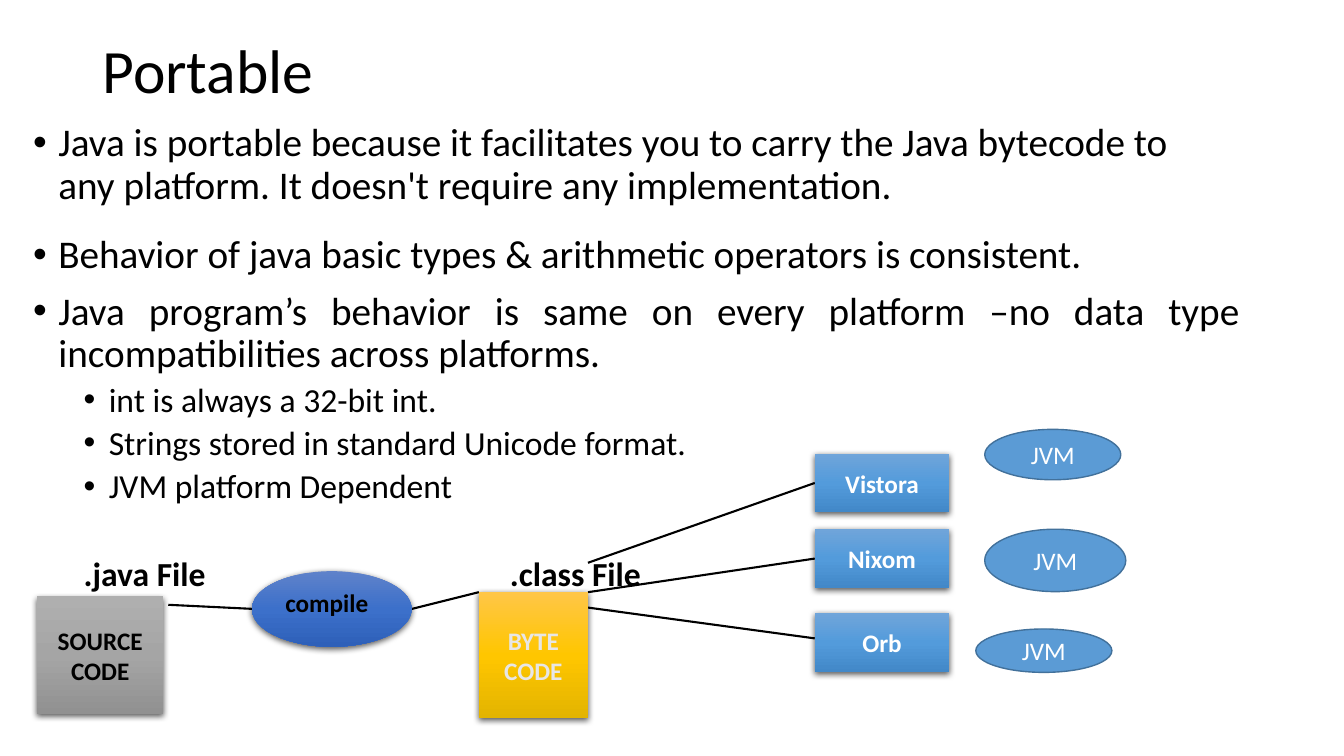
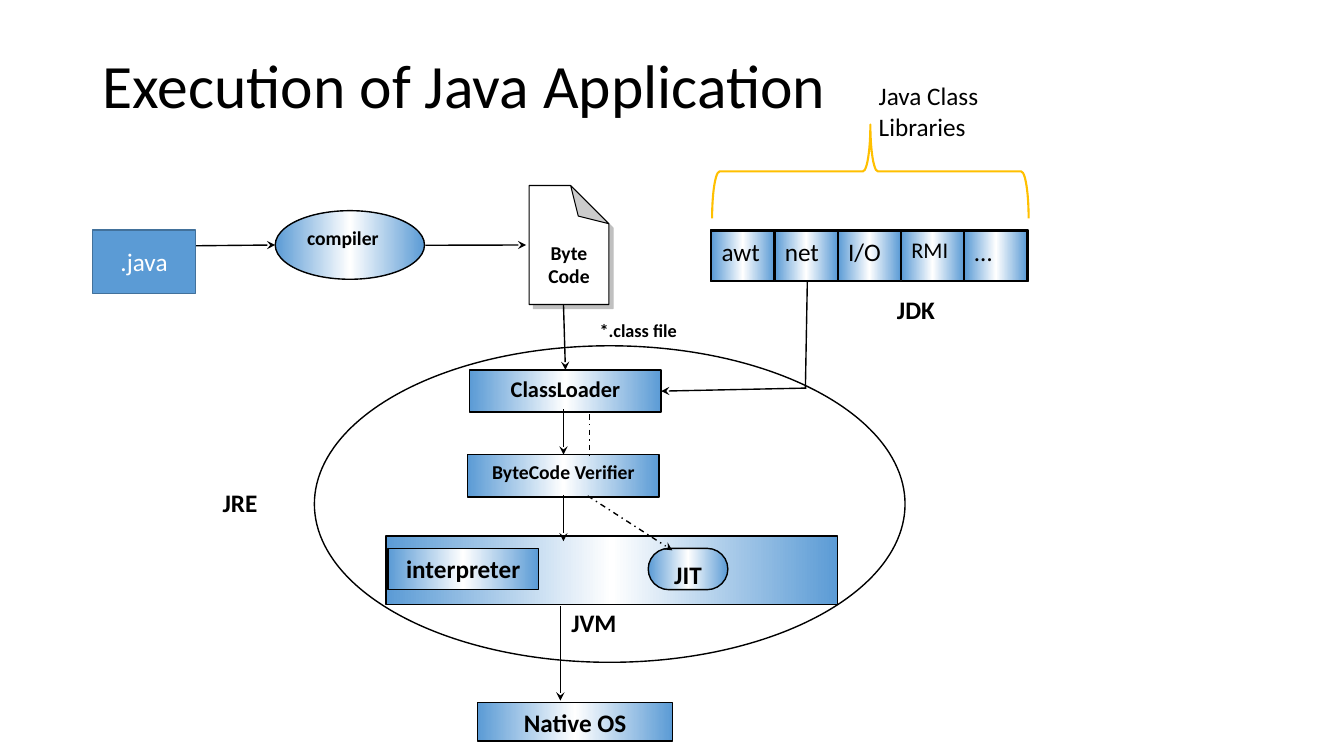
"""Build two slides on Java portability and on how a Java application runs."""
from dataclasses import dataclass
from typing import Optional, Union

import lxml.etree
import pptx
import pptx.dml.color
import pptx.enum.dml
import pptx.enum.shapes
import pptx.enum.text
import pptx.oxml.ns
import pptx.util

Pt = pptx.util.Pt
qn = pptx.oxml.ns.qn
SHAPE = pptx.enum.shapes.MSO_SHAPE
ALIGN = pptx.enum.text.PP_ALIGN
ANCHOR = pptx.enum.text.MSO_ANCHOR
FONT = "Calibri"
COLORS = {
    "ink": "000000", "paper": "FFFFFF", "pale": "E7E6E6", "blue": "5B9BD5",
    "edge": "42719B", "gold": "FFC000", "silver": "C0C0C0",
}
GRADIENTS = {
    "compile": (90, ("5F82CA", "3C70CA", "2E60B9")),
    "system": (90, ("70A5DA", "539BDB", "4288C8")),
    "bytecode": (90, ("FFC647", "FFC600", "E3B400")),
    "source": (90, ("AFAFAF", "A5A5A5", "919191")),
    "sheen": (0, (COLORS["blue"], COLORS["paper"], COLORS["blue"])),
}
Frame = tuple[float, float, float, float]
Point = tuple[float, float]


@dataclass(frozen=True)
class Shadow:
    """An outer shadow."""
    color: str
    opacity: int
    blur: float
    distance: float
    angle: int


SOFT = Shadow("ink", 63, 4.5, 1.5, 90)
HARD = Shadow("silver", 100, 0, 4.2, 45)


@dataclass(frozen=True)
class Node:
    """A preset shape, or a text box when it has no kind."""
    frame: Frame
    text: str = ""
    kind: Optional[SHAPE] = None
    fill: str = ""
    line: str = ""
    width: float = 1
    size: float = 18
    color: str = "ink"
    bold: bool = True
    align: ALIGN = ALIGN.CENTER
    anchor: ANCHOR = ANCHOR.TOP
    shadow: Optional[Shadow] = None
    adjust: tuple[float, ...] = ()
    rotation: float = 0
    mirrored: bool = False


@dataclass(frozen=True)
class Link:
    """A straight line, with or without an arrowhead."""
    start: Point
    end: Point
    width: float = 1
    arrow: bool = True
    dashed: bool = False


@dataclass(frozen=True)
class Bullet:
    """One list paragraph."""
    text: str
    level: int = 0
    before: float = 0
    align: ALIGN = ALIGN.JUSTIFY


def rgb(name: str) -> pptx.dml.color.RGBColor:
    """Return a named colour."""
    return pptx.dml.color.RGBColor.from_string(COLORS[name])


def add_span(para, text: str, size: float, color: str = "ink", bold: bool = False) -> None:
    """Add one formatted run."""
    span = para.add_run()
    span.text = text
    span.font.name = FONT
    span.font.size = Pt(size)
    span.font.bold = bold
    span.font.color.rgb = rgb(color)


def place(box, frame: Frame) -> None:
    """Move and size a box."""
    box.left, box.top, box.width, box.height = (Pt(value) for value in frame)


def prepare(box, anchor: ANCHOR) -> None:
    """Set wrapping, fitting, margins and anchor of a text frame."""
    frame = box.text_frame
    frame.word_wrap = True
    frame.auto_size = pptx.enum.text.MSO_AUTO_SIZE.NONE
    frame.vertical_anchor = anchor
    frame.margin_left = frame.margin_right = Pt(7.2)
    frame.margin_top = frame.margin_bottom = Pt(3.6)


def add_title(page, text: str, frame: Frame) -> None:
    """Fill the title placeholder in the shared style."""
    box = page.shapes.title
    place(box, frame)
    prepare(box, ANCHOR.MIDDLE)
    para = box.text_frame.paragraphs[0]
    para.alignment = ALIGN.LEFT
    para.line_spacing = 0.9
    add_span(para, text, 44)


def add_bullets(box, frame: Frame, bullets: list[Bullet]) -> None:
    """Fill a body placeholder with bulleted paragraphs."""
    place(box, frame)
    prepare(box, ANCHOR.TOP)
    for index, bullet in enumerate(bullets):
        para = box.text_frame.add_paragraph() if index else box.text_frame.paragraphs[0]
        para.level = bullet.level
        para.alignment = bullet.align
        para.line_spacing = 0.9
        para.space_before = Pt(bullet.before)
        add_span(para, bullet.text, 28 - 4 * bullet.level)
        settings = para._p.get_or_add_pPr()
        settings.set("marL", str(Pt(18 + 36 * bullet.level)))
        settings.set("indent", str(-Pt(18)))
        lxml.etree.SubElement(settings, qn("a:buChar"), char="•")


def fill_shape(box, fill: str) -> None:
    """Apply a gradient, a plain colour or no fill."""
    if not fill:
        box.fill.background()
    elif fill in GRADIENTS:
        angle, stops = GRADIENTS[fill]
        box.fill.gradient()
        gradient = box.element.spPr.find(qn("a:gradFill"))
        stop_list = gradient.find(qn("a:gsLst"))
        stop_list.clear()
        for index, color in enumerate(stops):
            stop = lxml.etree.SubElement(stop_list, qn("a:gs"), pos=str(index * 50000))
            lxml.etree.SubElement(stop, qn("a:srgbClr"), val=color)
        gradient.find(qn("a:lin")).set("ang", str(angle * 60000))
    else:
        box.fill.solid()
        box.fill.fore_color.rgb = rgb(fill)


def cast_shadow(box, shadow: Shadow) -> None:
    """Put an outer shadow in the effect list."""
    effects = box.element.spPr.find(qn("a:effectLst"))
    outer = lxml.etree.SubElement(
        effects, qn("a:outerShdw"), blurRad=str(Pt(shadow.blur)), dist=str(Pt(shadow.distance)),
        dir=str(shadow.angle * 60000), algn="ctr", rotWithShape="0")
    color = lxml.etree.SubElement(outer, qn("a:srgbClr"), val=COLORS[shadow.color])
    lxml.etree.SubElement(color, qn("a:alpha"), val=str(shadow.opacity * 1000))


def adjust_shape(box, values: tuple[float, ...]) -> None:
    """Write the adjustment values of a preset shape."""
    guides = box.element.spPr.find(qn("a:prstGeom")).get_or_add_avLst()
    guides.clear()
    for number, value in enumerate(values, 1):
        name = f"adj{number}" if len(values) > 1 else "adj"
        lxml.etree.SubElement(guides, qn("a:gd"), name=name, fmla=f"val {round(value * 100000)}")


def style_shape(box, node: Node) -> None:
    """Set outline, fill, geometry and shadow of a preset shape."""
    fill_shape(box, node.fill)
    if node.line:
        box.line.color.rgb = rgb(node.line)
        box.line.width = Pt(node.width)
    else:
        box.line.fill.background()
    if node.adjust:
        adjust_shape(box, node.adjust)
    box.rotation = node.rotation
    if node.mirrored:
        box.element.spPr.find(qn("a:xfrm")).set("flipH", "1")
    box.shadow.inherit = False
    if node.shadow:
        cast_shadow(box, node.shadow)


def draw_node(page, node: Node) -> None:
    """Draw a shape or text box with its text."""
    frame = [Pt(value) for value in node.frame]
    if node.kind is None:
        box = page.shapes.add_textbox(*frame)
    else:
        box = page.shapes.add_shape(node.kind, *frame)
        style_shape(box, node)
    if not node.text:
        return
    prepare(box, node.anchor)
    for index, text in enumerate(node.text.split("\n")):
        para = box.text_frame.add_paragraph() if index else box.text_frame.paragraphs[0]
        para.alignment = node.align
        add_span(para, text, node.size, node.color, node.bold)


def draw_link(page, link: Link) -> None:
    """Draw a connector without shadow."""
    connector = page.shapes.add_connector(
        pptx.enum.shapes.MSO_CONNECTOR.STRAIGHT, *(Pt(value) for value in link.start + link.end))
    connector.line.color.rgb = rgb("ink")
    connector.line.width = Pt(link.width)
    if link.dashed:
        connector.line.dash_style = pptx.enum.dml.MSO_LINE.DASH_DOT
    outline = connector.element.spPr.find(qn("a:ln"))
    if link.arrow:
        lxml.etree.SubElement(outline, qn("a:tailEnd"), type="stealth")
    lxml.etree.SubElement(connector.element.spPr, qn("a:effectLst"))


def draw(page, items: list[Union[Node, Link]]) -> None:
    """Draw items from back to front."""
    for item in items:
        if isinstance(item, Link):
            draw_link(page, item)
        else:
            draw_node(page, item)


def label(frame: Frame, text: str, size: float = 18, bold: bool = True) -> Node:
    """Describe a left-aligned text box."""
    return Node(frame, text, size=size, bold=bold, align=ALIGN.LEFT)


def raised(frame: Frame, text: str, fill: str, color: str) -> Node:
    """Describe a shadowed gradient rectangle."""
    return Node(frame, text, SHAPE.RECTANGLE, fill, color=color, anchor=ANCHOR.MIDDLE, shadow=SOFT)


def plain(frame: Frame, text: str, kind: SHAPE) -> Node:
    """Describe a flat blue shape with white text."""
    return Node(frame, text, kind, "blue", "edge", color="paper", bold=False, anchor=ANCHOR.MIDDLE)


def shiny(frame: Frame, text: str = "", size: float = 18, kind: SHAPE = SHAPE.RECTANGLE,
          bold: bool = True, align: ALIGN = ALIGN.CENTER, adjust: tuple[float, ...] = ()) -> Node:
    """Describe an outlined shape with a blue and white sheen."""
    return Node(frame, text, kind, "sheen", "ink", size=size, bold=bold, align=align, adjust=adjust)


def build_portable(deck) -> None:
    """Build the slide on portability."""
    page = deck.slides.add_slide(deck.slide_layouts[3])
    add_title(page, "Portable", (66, 0, 828, 104.4))
    add_bullets(page.placeholders[1], (16.5, 84.2, 828, 342.7), [
        Bullet("Java is portable because it facilitates you to carry the Java bytecode to "
               "any platform. It doesn't require any implementation.", align=ALIGN.LEFT)])
    add_bullets(page.placeholders[2], (16.5, 164.2, 876.2, 356.4), [
        Bullet("Behavior of java basic types & arithmetic operators is consistent."),
        Bullet("Java program’s behavior is same on every platform –no data type "
               "incompatibilities across platforms.", before=10),
        *(Bullet(text, 1, 5) for text in (
            "int is always a 32-bit int.", "Strings stored in standard Unicode format.",
            "JVM platform Dependent"))])
    systems = zip(("Vistora", "Nixom", "Orb"), (324, 378, 438))
    machines = ((703.4, 306.7, 97.2, 36), (703.4, 378, 100.8, 44.6), (697, 449.3, 97.2, 31))
    links = (((120.2, 432), (180, 434.9)), ((294, 435), (342, 423)), ((420, 402), (582, 345)),
             ((420, 423), (582, 399)), ((420, 434), (582, 456)))
    draw(page, [
        label((52.6, 391.7, 116, 39), ".java File", 24),
        label((357.1, 391.7, 116, 39), ".class File", 24),
        *(Link(start, end, 1.5, False) for start, end in links),
        Node((180, 408, 114, 54), "compile", SHAPE.OVAL, "compile", align=ALIGN.LEFT, shadow=SOFT),
        *(raised((582, top, 96, 42), name, "system", "paper") for name, top in systems),
        raised((342, 423, 78, 90), "BYTE CODE", "bytecode", "pale"),
        raised((26.6, 426, 90, 84), "SOURCE\nCODE", "source", "ink"),
        *(plain(frame, "JVM", SHAPE.OVAL) for frame in machines)])


def build_execution(deck) -> None:
    """Build the slide on running an application."""
    page = deck.slides.add_slide(deck.slide_layouts[5])
    add_title(page, "Execution of Java Application", (66, 28.8, 828, 68.4))
    libraries = (("awt", 18), ("net", 18), ("I/O", 18), ("RMI", 16), ("…", 18))
    draw(page, [
        shiny((196.6, 150.5, 106.6, 49), "compiler", 14, SHAPE.OVAL, align=ALIGN.LEFT),
        Node((378, 132.5, 56.9, 85), kind=SHAPE.FOLDED_CORNER, fill="paper", line="ink", width=0.75,
             shadow=HARD, adjust=(0.48,), rotation=180, mirrored=True),
        Node((378, 159.8, 56.9, 57.6), "Byte\nCode", size=14, anchor=ANCHOR.MIDDLE),
        Link((124.6, 175.7), (196.6, 175)), Link((303.8, 175.2), (375.8, 175)),
        label((421.2, 224.6, 74.2, 23), "*.class file", 13),
        shiny((335.5, 264.2, 136.8, 30.2), "ClassLoader", 16),
        shiny((334.1, 324.7, 136.8, 30.2), "ByteCode Verifier", 14),
        Link((402.5, 217.4), (403.9, 264.2)), Link((402.5, 292.3), (402.5, 324.7)),
        shiny((275.8, 383, 322.6, 49)),
        label((401, 430.6, 89.3, 28.8), "JVM"),
        shiny((277.2, 391.7, 107.3, 29.5), "interpreter"),
        shiny((463, 391.7, 56.9, 29.5), "JIT", kind=SHAPE.ROUNDED_RECTANGLE, adjust=(0.5,)),
        shiny((507.6, 164.2, 226.8, 36.7)),
        *(shiny((508.3 + 45.2 * column, 164.9, 44.6, 35.3), name, size, bold=False, align=ALIGN.LEFT)
          for column, (name, size) in enumerate(libraries)),
        Node((588.2, 9.4, 67, 226.1), kind=SHAPE.LEFT_BRACE, line="gold", width=1.5,
             adjust=(0.08, 0.5), rotation=90),
        label((620.6, 54, 121.7, 51.1), "Java Class Libraries", bold=False),
        label((633.6, 206.6, 88.6, 28.8), "JDK"),
        Link((576.7, 200.2), (575.3, 277.2), arrow=False), Link((576, 277.2), (472.3, 279.4)),
        Node((224.6, 247, 421.9, 226.1), kind=SHAPE.OVAL, line="ink"),
        label((151.9, 344.2, 62.6, 29.5), "JRE"),
        shiny((341.3, 501.8, 139, 27.4), "Native OS"),
        Link((402.5, 353.5), (402.5, 386.6)),
        Link((421.2, 295.9), (421.2, 324.7), arrow=False, dashed=True),
        Link((419.8, 354.2), (480.2, 393.1), dashed=True),
        Link((400.3, 432.7), (400.3, 500.4)),
        plain((66.2, 164.2, 73.4, 45.4), ".java", SHAPE.RECTANGLE)])


deck = pptx.Presentation()
deck.slide_width, deck.slide_height = Pt(960), Pt(540)
build_portable(deck)
build_execution(deck)
deck.save("out.pptx")
